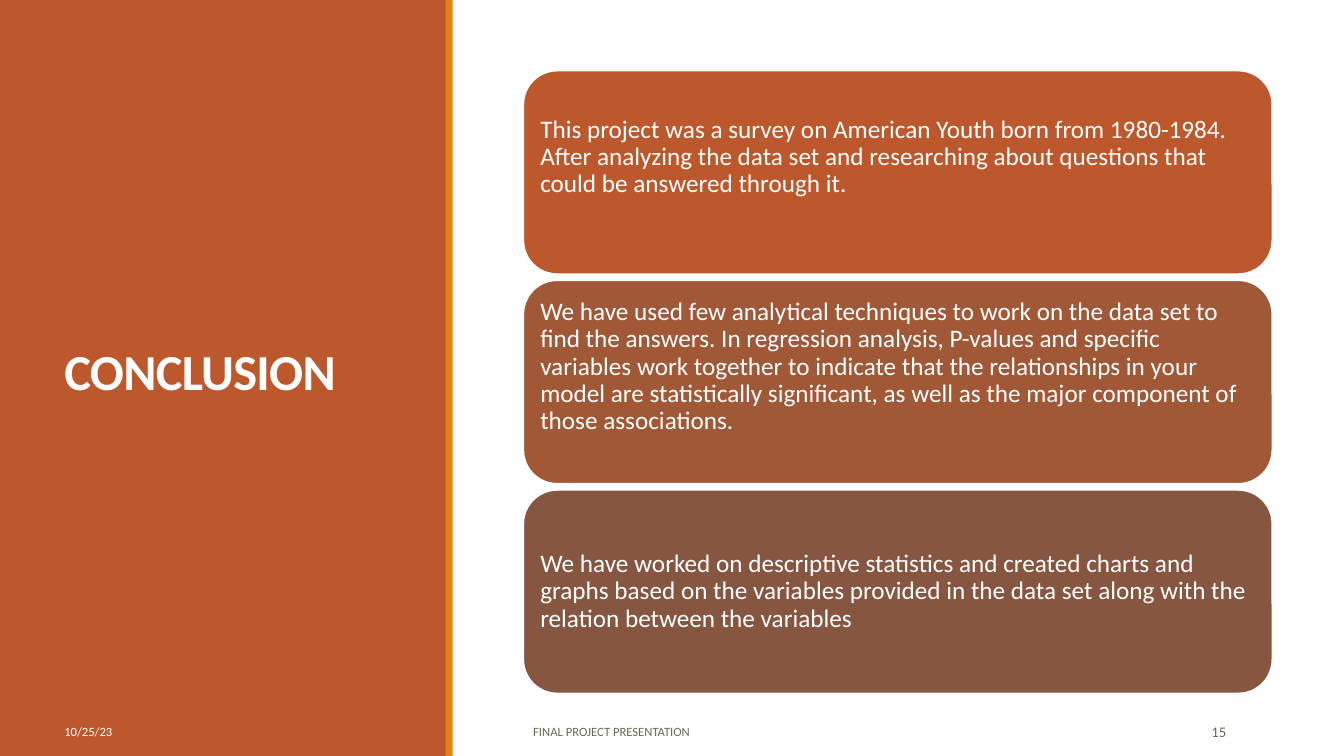
"""Build the conclusion slide: a coloured title panel beside three stacked cards."""
from pptx import Presentation
from pptx.dml.color import RGBColor
from pptx.enum.shapes import MSO_SHAPE as Shape
from pptx.enum.text import MSO_ANCHOR as Anchor, PP_ALIGN as Align
from pptx.util import Inches, Pt

WHITE = RGBColor(0xFF, 0xFF, 0xFF)
RUST = RGBColor(0xBD, 0x58, 0x2C)
ORANGE = RGBColor(0xE4, 0x83, 0x12)
SIENNA = RGBColor(0xA0, 0x58, 0x37)
BROWN = RGBColor(0x86, 0x56, 0x40)
OLIVE = RGBColor(0x63, 0x70, 0x52)
FONT = "Calibri"

TITLE = "CONCLUSION"
CARDS = [
    ("This project was a survey on American Youth born from 1980-1984. After analyzing "
     "the data set and researching about questions that could be answered through it.",
     RUST, 0.37),
    ("We have used few analytical techniques to work on the data set to find the answers. "
     "In regression analysis, P-values and specific variables work together to indicate "
     "that the relationships in your model are statistically significant, as well as the "
     "major component of those associations.", SIENNA, 0.37),
    ("We have worked on descriptive statistics and created charts and graphs based on the "
     "variables provided in the data set along with the relation between the variables",
     BROWN, 0.07),
]
FOOTERS = [
    ("10/25/23", 0.54, 1.9, 9, WHITE, Align.LEFT),
    ("FINAL PROJECT PRESENTATION", 5.19, 5.58, 9, OLIVE, Align.LEFT),
    ("15", 11.07, 1.19, 10.5, OLIVE, Align.RIGHT),
]
PANELS = [(0, 4.43, RUST), (4.42, 0.07, ORANGE)]

SLIDE_WIDTH, SLIDE_HEIGHT = 13.33, 7.5
CARD_LEFT, CARD_TOP, CARD_WIDTH, CARD_HEIGHT = 5.19, 0.7, 7.43, 2.02
CARD_STEP, CARD_INSET = 2.08, 0.07
FOOTER_TOP, FOOTER_HEIGHT = 7.06, 0.4


def add_block(slide, kind, left, top, width, height, color):
    shape = slide.shapes.add_shape(
        kind, Inches(left), Inches(top), Inches(width), Inches(height))
    shape.shadow.inherit = False
    shape.fill.solid()
    shape.fill.fore_color.rgb = color
    shape.line.fill.background()
    return shape


def write(shape, text, size, color, align=Align.LEFT):
    frame = shape.text_frame
    frame.word_wrap = True
    frame.vertical_anchor = Anchor.MIDDLE
    frame.text = text
    paragraph = frame.paragraphs[0]
    paragraph.alignment = align
    font = paragraph.runs[0].font
    font.name, font.size, font.color.rgb = FONT, Pt(size), color
    return paragraph


def add_label(slide, text, left, top, width, height, size, color, align=Align.LEFT):
    box = slide.shapes.add_textbox(
        Inches(left), Inches(top), Inches(width), Inches(height))
    return write(box, text, size, color, align)


def add_card(slide, index, text, color, bottom_inset):
    card = add_block(slide, Shape.ROUNDED_RECTANGLE, CARD_LEFT,
                     CARD_TOP + index * CARD_STEP, CARD_WIDTH, CARD_HEIGHT, color)
    card.line.color.rgb = WHITE
    card.line.width = Pt(1.25)
    paragraph = write(card, text, 18, WHITE)
    paragraph.line_spacing = 0.9
    frame = card.text_frame
    frame.margin_left = frame.margin_right = frame.margin_top = Inches(CARD_INSET)
    frame.margin_bottom = Inches(bottom_inset)


def main():
    presentation = Presentation()
    presentation.slide_width = Inches(SLIDE_WIDTH)
    presentation.slide_height = Inches(SLIDE_HEIGHT)
    slide = presentation.slides.add_slide(presentation.slide_layouts[6])

    for left, width, color in PANELS:
        add_block(slide, Shape.RECTANGLE, left, 0, width, SLIDE_HEIGHT, color)

    title = add_label(slide, TITLE, 0.54, 0.57, 3.37, 6.31, 36, WHITE)
    title.line_spacing = 0.85
    title.runs[0].font.bold = True
    title.runs[0].font._element.set("spc", "-50")

    for index, card in enumerate(CARDS):
        add_card(slide, index, *card)

    for text, left, width, size, color, align in FOOTERS:
        add_label(slide, text, left, FOOTER_TOP, width, FOOTER_HEIGHT, size, color, align)

    presentation.save("out.pptx")


if __name__ == "__main__":
    main()
